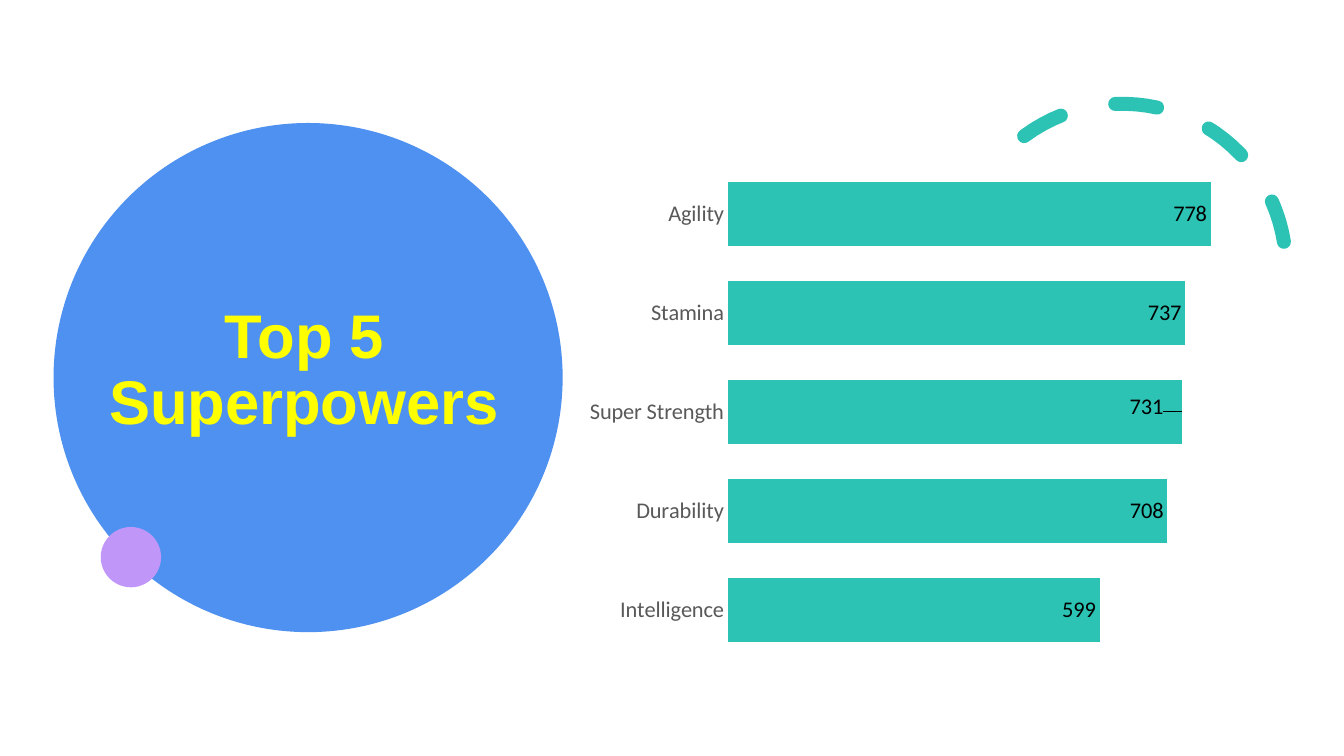
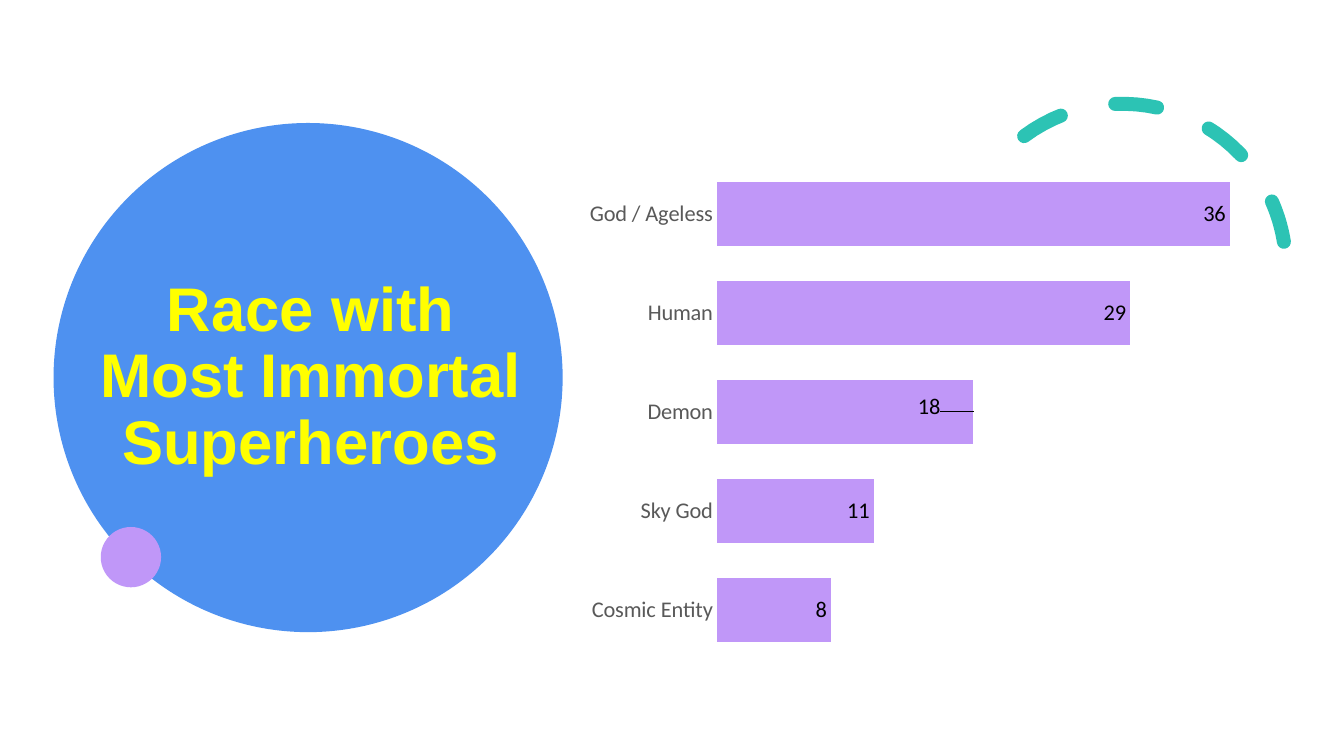
from dataclasses import dataclass

from lxml.etree import SubElement
from pptx import Presentation
from pptx.chart.data import CategoryChartData
from pptx.dml.color import RGBColor
from pptx.enum.chart import XL_CHART_TYPE, XL_LABEL_POSITION, XL_TICK_LABEL_POSITION, XL_TICK_MARK
from pptx.enum.dml import MSO_LINE
from pptx.enum.shapes import MSO_SHAPE
from pptx.enum.text import MSO_ANCHOR, PP_ALIGN
from pptx.oxml.ns import qn
from pptx.util import Cm, Pt


@dataclass(frozen=True)
class Theme:
    blue: RGBColor = RGBColor(0x4E, 0x91, 0xF0)
    teal: RGBColor = RGBColor(0x2C, 0xC3, 0xB4)
    violet: RGBColor = RGBColor(0xC0, 0x97, 0xF8)
    yellow: RGBColor = RGBColor(0xFF, 0xFF, 0x00)
    grey: RGBColor = RGBColor(0x59, 0x59, 0x59)
    black: RGBColor = RGBColor(0x00, 0x00, 0x00)
    title_font: str = "Arial"
    chart_font: str = "Calibri"
    title_size: Pt = Pt(44)
    chart_size: Pt = Pt(16)
    arc_width: Pt = Pt(10)


THEME = Theme()
ARC_CURVES = (
    ((25.81, 3.43), (27.66, 2.06), (30.28, 2.46), (31.62, 4.32)),
    ((31.62, 4.32), (32.13, 5.03), (32.41, 5.87), (32.41, 6.76)),
)
ARC_STEPS = 24
CHART_2012 = "http://schemas.microsoft.com/office/drawing/2012/chart"
LABEL_EXTENSION = "{CE6537A1-D6FC-4f65-9D91-7224C49458BB}"


def add_disc(page, left, top, diameter, color):
    disc = page.shapes.add_shape(MSO_SHAPE.OVAL, Cm(left), Cm(top), Cm(diameter), Cm(diameter))
    disc.shadow.inherit = False
    disc.fill.solid()
    disc.fill.fore_color.rgb = color
    disc.line.fill.background()


def curve_point(curve, t):
    weights = ((1 - t) ** 3, 3 * t * (1 - t) ** 2, 3 * t**2 * (1 - t), t**3)
    return tuple(Cm(sum(w * p[axis] for w, p in zip(weights, curve))) for axis in (0, 1))


def add_dashed_arc(page):
    points = [
        curve_point(curve, step / ARC_STEPS)
        for curve in ARC_CURVES
        for step in range(1, ARC_STEPS + 1)
    ]
    builder = page.shapes.build_freeform(*curve_point(ARC_CURVES[0], 0))
    builder.add_line_segments(points, close=False)
    arc = builder.convert_to_shape()
    arc.shadow.inherit = False
    arc.fill.background()
    arc.line.color.rgb = THEME.teal
    arc.line.width = THEME.arc_width
    arc.line.dash_style = MSO_LINE.DASH
    arc._element.xpath("./p:spPr/a:ln")[0].set("cap", "rnd")


def add_backdrop(page):
    add_disc(page, 1.35, 3.1, 12.83, THEME.blue)
    add_dashed_arc(page)
    add_disc(page, 2.54, 13.28, 1.52, THEME.violet)


def add_title(page, text, left, top, width, height):
    box = page.shapes.add_textbox(Cm(left), Cm(top), Cm(width), Cm(height))
    frame = box.text_frame
    frame.word_wrap = True
    frame.vertical_anchor = MSO_ANCHOR.MIDDLE
    frame.margin_left = frame.margin_right = Cm(0.13)
    frame.margin_top = frame.margin_bottom = Cm(0.13)
    para = frame.paragraphs[0]
    para.alignment = PP_ALIGN.CENTER
    para.line_spacing = 0.9
    span = para.add_run()
    span.text = text
    style_font(span.font, THEME.title_font, THEME.title_size, THEME.yellow)
    span.font.bold = True


def style_font(font, name, size, color):
    font.name = name
    font.size = size
    font.color.rgb = color


def style_labels(labels):
    labels.position = XL_LABEL_POSITION.INSIDE_END
    style_font(labels.font, THEME.chart_font, THEME.chart_size, THEME.black)


def shift_label(series, index, dx, dy):
    style_labels(series.points[index].data_label)
    label = series._element.xpath(f"./c:dLbls/c:dLbl[c:idx/@val='{index}']")[0]
    layout = label.makeelement(qn("c:layout"))
    label.find(qn("c:idx")).addnext(layout)
    manual = SubElement(layout, qn("c:manualLayout"))
    for tag, value in (("c:x", dx), ("c:y", dy)):
        SubElement(manual, qn(tag)).set("val", str(value))


def hide_leader_lines(series):
    labels = series._element.find(qn("c:dLbls"))
    extension = SubElement(SubElement(labels, qn("c:extLst")), qn("c:ext"))
    extension.set("uri", LABEL_EXTENSION)
    leader = SubElement(extension, f"{{{CHART_2012}}}showLeaderLines", nsmap={"c15": CHART_2012})
    leader.set("val", "0")


def add_ranking_chart(page, values, color, maximum, label_shift):
    data = CategoryChartData()
    data.categories = list(values)
    data.add_series("Series 1", list(values.values()))
    chart = page.shapes.add_chart(
        XL_CHART_TYPE.BAR_CLUSTERED, Cm(14.5), Cm(3.89), Cm(18.29), Cm(12.98), data
    ).chart
    chart.has_title = False
    chart.has_legend = False
    style_font(chart.font, THEME.chart_font, THEME.chart_size, THEME.grey)

    names = chart.category_axis
    names.reverse_order = True
    names.major_tick_mark = XL_TICK_MARK.NONE
    names.minor_tick_mark = XL_TICK_MARK.NONE
    names.tick_label_position = XL_TICK_LABEL_POSITION.NEXT_TO_AXIS
    names.format.line.fill.background()
    style_font(names.tick_labels.font, THEME.chart_font, THEME.chart_size, THEME.grey)

    scale = chart.value_axis
    scale.visible = False
    scale.has_major_gridlines = False
    scale.minimum_scale = 0
    scale.maximum_scale = maximum

    plot = chart.plots[0]
    plot.gap_width = 54
    plot.vary_by_categories = False
    series = plot.series[0]
    series.format.fill.solid()
    series.format.fill.fore_color.rgb = color
    series.data_labels.show_value = True
    style_labels(series.data_labels)
    shift_label(series, 2, *label_shift)
    hide_leader_lines(series)


def add_ranking_page(deck, title, title_place, values, color, maximum, label_shift):
    page = deck.slides.add_slide(deck.slide_layouts[6])
    add_backdrop(page)
    add_title(page, title, *title_place)
    add_ranking_chart(page, values, color, maximum, label_shift)


def main():
    deck = Presentation()
    deck.slide_width = Cm(33.87)
    deck.slide_height = Cm(19.05)
    add_ranking_page(
        deck,
        "Top 5 Superpowers",
        (2.49, 3.66, 10.36, 11.4),
        {
            "Agility": 778,
            "Stamina": 737,
            "Super Strength": 731,
            "Durability": 708,
            "Intelligence": 599,
        },
        THEME.teal,
        900,
        (-0.02, -0.01),
    )
    add_ranking_page(
        deck,
        "Race with Most Immortal Superheroes",
        (2.26, 3.73, 11.15, 11.58),
        {"God / Ageless": 36, "Human": 29, "Demon": 18, "Sky God": 11, "Cosmic Entity": 8},
        THEME.violet,
        40,
        (-0.04, -0.01),
    )
    deck.save("out.pptx")


if __name__ == "__main__":
    main()
